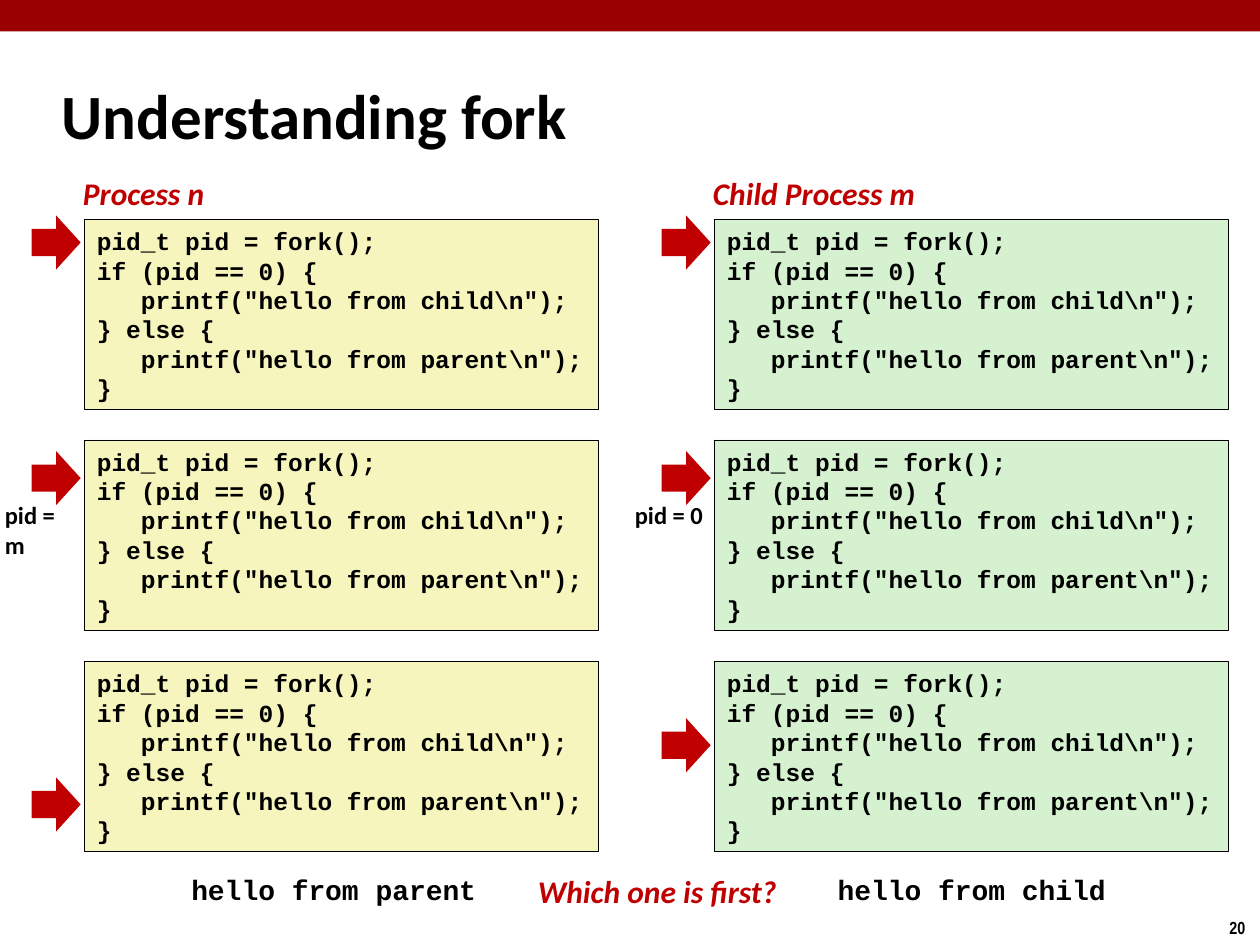
from pptx import Presentation
from pptx.dml.color import RGBColor
from pptx.enum.shapes import MSO_SHAPE as Shape
from pptx.enum.text import MSO_ANCHOR as Anchor, MSO_AUTO_SIZE as Fit, PP_ALIGN as Align
from pptx.util import Inches, Pt

TITLE = "Understanding fork"
CODE = r"""pid_t pid = fork();
if (pid == 0) {
   printf("hello from child\n");
} else {
   printf("hello from parent\n");
}"""
RED, BLACK = "C00000", "000000"
MONO, SANS = "Courier New", "Calibri"
# Each step is (arrow top, label below the arrow)
COLS = [
    {"head": "Process n", "wide": 1.18, "fill": "F6F5BD",
     "steps": [(1.71, ""), (3.58, "pid = m"), (6.17, "")]},
    {"head": "Child Process m", "wide": 1.83, "fill": "D5F1CF",
     "steps": [(1.71, ""), (3.58, "pid = 0"), (5.70, "")]},
]
TOPS = [1.74, 3.49, 5.25]
# Text, place, size, font, colour, italic
NOTES = [
    ("hello from parent", (1.42, 6.88, 2.5, 0.37), 16, MONO, BLACK, False),
    ("hello from child", (6.55, 6.88, 2.36, 0.37), 16, MONO, BLACK, False),
    ("Which one is first?", (4.17, 6.87, 2.13, 0.4), 18, SANS, RED, True),
    ("20", (9.66, 7.23, 0.34, 0.27), 10, "Arial Narrow", BLACK, False),
]


def color(code):
    return RGBColor.from_string(code)


def write(frame, text, size, font, ink=BLACK, slant=False):
    frame.text = text
    for para in frame.paragraphs:
        para.alignment = Align.LEFT
        para.font.size, para.font.name = Pt(size), font
        para.font.bold, para.font.italic = True, slant
        para.font.color.rgb = color(ink)


def grow(frame):
    frame.word_wrap = False
    frame.auto_size = Fit.SHAPE_TO_FIT_TEXT


def label(text, place, *style):
    frame = slide.shapes.add_textbox(*map(Inches, place)).text_frame
    write(frame, text, *style)
    grow(frame)


def block(kind, place, fill, line=None):
    shape = slide.shapes.add_shape(kind, *map(Inches, place))
    shape.shadow.inherit = False
    shape.fill.solid()
    shape.fill.fore_color.rgb = color(fill)
    if line:
        shape.line.color.rgb = color(line)
        shape.line.width = Pt(0.25)
    else:
        shape.line.fill.background()
    return shape


deck = Presentation()
deck.slide_width, deck.slide_height = Inches(10), Inches(7.5)
slide = deck.slides.add_slide(deck.slide_layouts[5])

block(Shape.RECTANGLE, (0, 0, 10, 0.25), "990000")
title = slide.shapes.title
title.left, title.top, title.width, title.height = map(Inches, (0.39, 0.49, 8.3, 0.83))
write(title.text_frame, TITLE, 36, SANS)
title.text_frame.vertical_anchor = Anchor.MIDDLE
title.text_frame.auto_size = Fit.NONE

for num, col in enumerate(COLS):
    left = num * 5
    label(col["head"], (left + 0.56, 1.33, col["wide"], 0.4), 18, SANS, RED, True)
    for top, (tip, note) in zip(TOPS, col["steps"]):
        box = block(Shape.RECTANGLE, (left + 0.67, top, 4.08, 1.51), col["fill"], BLACK)
        write(box.text_frame, CODE, 14, MONO)
        grow(box.text_frame)
        block(Shape.RIGHT_ARROW, (left + 0.25, tip, 0.39, 0.43), RED)
        if note:
            label(note, (left - 0.06, tip + 0.34, 0.78, 0.34), 14, SANS)

for note in NOTES:
    label(*note)

deck.save("out.pptx")
